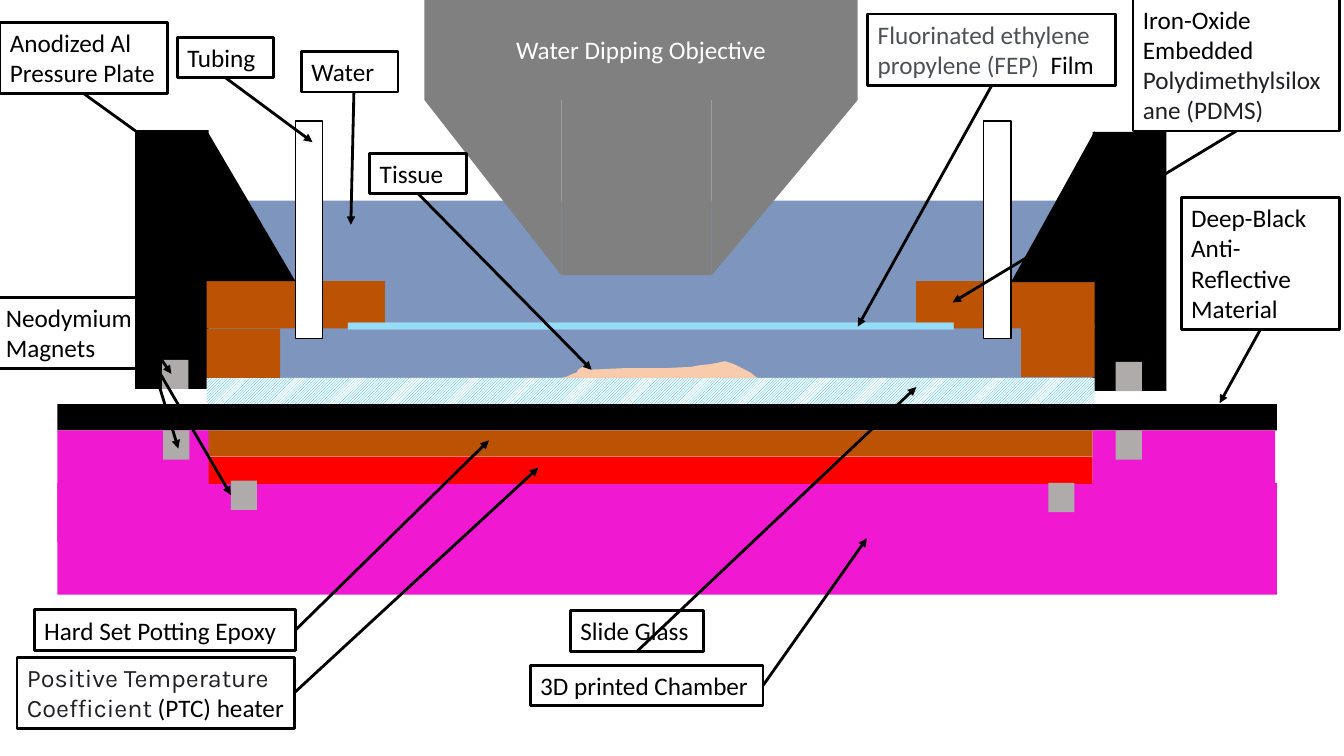
import pptx
import pptx.util
import pptx.dml.color
import pptx.enum.dml
import pptx.enum.shapes
import pptx.enum.text
import pptx.oxml.ns
from lxml import etree

Pt = pptx.util.Pt
KIND = pptx.enum.shapes.MSO_SHAPE
ALIGN = pptx.enum.text.PP_ALIGN
QN = pptx.oxml.ns.qn

THEME = dict(
    black="000000", white="FFFFFF", water="2F5597", film="00B0F0", rubber="BC5304",
    pink="F018D1", red="FF0000", grey="808080", magnet="AFABAB", tissue="F8CBAD",
    ink="202124", soft="4D5156", body="Calibri", alt="Karla", size=18, frame=2, edge=1)

RECT, WEDGE, ROUND = KIND.RECTANGLE, KIND.RIGHT_TRIANGLE, KIND.ROUND_1_RECTANGLE

# Parts of the chamber, back to front: colour, kind, (left, top, width, height), extras
BASE = [
    ("water", ROUND, (134.6, 143.3, 677.5, 129.6), dict(alpha=62)),
    ("pink", RECT, (41, 344.9, 871.2, 79.9), {}),
    ("black", RECT, (780.5, 94.3, 52.6, 185), {}),
    ("black", RECT, (96.5, 92.9, 52.6, 185), {}),
    ("film", RECT, (147.6, 270, 634.3, 18.7), dict(hatch=True)),
]
PARTS = [
    ("rubber", RECT, (147.6, 234.7, 52.6, 35.3), {}),
    ("rubber", RECT, (729.4, 232.6, 52.6, 36.7), {}),
    ("rubber", RECT, (147.6, 200.9, 127.4, 33.8), {}),
    ("rubber", RECT, (654.5, 200.9, 127.4, 33.8), {}),
    ("white", RECT, (248.4, 230.4, 432.7, 5), {}),
    ("film", RECT, (248.4, 230.4, 432.7, 5), dict(alpha=42)),
    ("white", RECT, (211, 86.4, 19.4, 155.5), dict(edge="black")),
    ("white", RECT, (702.7, 86.4, 19.4, 155.5), dict(edge="black")),
    ("black", WEDGE, (147.6, 92.9, 63.4, 108), {}),
    ("black", WEDGE, (722.2, 93.6, 59.8, 108), dict(flip=True)),
    ("black", RECT, (41, 288.7, 871.2, 18.7), {}),
    ("rubber", RECT, (148.3, 307.4, 632.2, 18.7), {}),
    ("red", RECT, (147.6, 326.2, 632.9, 19.4), {}),
    ("pink", RECT, (41, 307.4, 108, 79.9), {}),
    ("pink", RECT, (780.5, 307.4, 130.3, 79.9), {}),
    ("grey", RECT, (401, 71.3, 107.3, 125.3), {}),
    ("grey", WEDGE, (303.1, 71.3, 97.9, 125.3), dict(turn=180)),
    ("grey", WEDGE, (508.3, 71.3, 104.4, 125.3), dict(turn=180, flip=True)),
]
TISSUE = [
    (401, 270), (404.6, 268.6), (409, 267.1), (411.8, 265.7), (412.6, 263.5),
    (417.6, 261.4), (420.5, 262.1), (422.6, 264.2), (445, 262.8), (473.8, 262.8),
    (493.9, 262.1), (499, 261.4), (507.6, 259.9), (517.7, 258.5), (524.2, 259.9),
    (527.8, 262.1), (532.1, 264.2), (536.4, 265.7), (541.4, 270)]
MAGNETS = [(115.9, 257), (797, 258.5), (797, 307.4), (116.6, 307.4),
           (164.9, 343.4), (748.8, 344.9)]
MAGNET = (18.7, 20.9)

# Labels: runs, box, side the arrows leave from, arrow tips (x, y, shift along side)
ONE, TWO, FOUR = 29, 51, 94.3
LABELS = [
    (["Anodized Al Pressure Plate"], (0, 15.8, 119.5, TWO), "bottom", [(115.9, 107.3, 0)]),
    (["Neodymium Magnets"], (-2.9, 212.4, 105.1, TWO), "right",
     [(122.4, 267.1, 0), (127.4, 320.4, 0), (164.9, 353.5, 8)]),
    (["3D printed Chamber"], (378.7, 475.2, 166.3, ONE), "right", [(619.2, 384.5, 0)]),
    ([("Positive Temperature Coefficient", "ink", "alt"), " (PTC) heater"],
     (12.2, 469.4, 198, TWO), "right", [(384.5, 334.1, 0)]),
    (["Hard Set Potting Epoxy"], (24.5, 435.6, 186.5, ONE), "right", [(349.2, 314.6, 0)]),
    (["Deep-Black Anti-Reflective Material"], (843.8, 141.1, 113, FOUR), "bottom",
     [(871.2, 288, 0)]),
    (["Tubing"], (126.7, 26.6, 69, ONE), "bottom", [(223.2, 101.5, 0)]),
    ([("Fluorinated ethylene propylene (FEP) ", "soft", "body"), " Film"],
     (619.9, 10, 177.1, TWO), "bottom", [(612.7, 233.3, 0)]),
    (["Iron-Oxide Embedded ", ("Polydimethylsiloxane (PDMS)", "ink", "body")],
     (809.3, -0.7, 147.6, FOUR), "bottom", [(680.4, 216, 0)]),
    (["Tissue"], (264.2, 109.4, 69, ONE), "bottom", [(422.6, 264.2, 0)]),
    (["Slide Glass"], (407.5, 436.3, 95, ONE), "bottom", [(654.5, 276.5, 0)]),
    (["Water"], (215.3, 36.7, 69, ONE), "bottom", [(250.6, 160.6, 3)]),
]
LENS = ("Water Dipping Objective", (303.1, -1.4, 309.6, 72.7))


def tint(name):
    return pptx.dml.color.RGBColor.from_string(THEME[name])


def paint(shape, color, alpha=None, hatch=False, edge=None, flip=False, turn=0):
    shape.shadow.inherit = False
    fill = shape.fill
    if hatch:
        fill.patterned()
        fill.pattern = pptx.enum.dml.MSO_PATTERN.DARK_UPWARD_DIAGONAL
        fill.fore_color.rgb, fill.back_color.rgb = tint(color), tint("white")
    else:
        fill.solid()
        fill.fore_color.rgb = tint(color)
    if alpha:
        node = shape.element.spPr.find(".//" + QN("a:srgbClr"))
        etree.SubElement(node, QN("a:alpha"), val=str(alpha * 1000))
    if edge:
        shape.line.color.rgb = tint(edge)
        shape.line.width = Pt(THEME["edge"])
    else:
        shape.line.fill.background()
    if flip:
        shape.element.spPr.get_or_add_xfrm().set("flipH", "1")
    shape.rotation = turn


def block(slide, color, kind, box, **extra):
    shape = slide.shapes.add_shape(kind, *map(Pt, box))
    paint(shape, color, **extra)
    return shape


def write(shape, runs, color="black", align=ALIGN.LEFT,
          anchor=pptx.enum.text.MSO_ANCHOR.TOP):
    frame = shape.text_frame
    frame.word_wrap = True
    frame.vertical_anchor = anchor
    para = frame.paragraphs[0]
    para.alignment = align
    for item in runs:
        text, hue, face = (item, color, "body") if isinstance(item, str) else item
        run = para.add_run()
        run.text = text
        run.font.size = Pt(THEME["size"])
        run.font.name = THEME[face]
        run.font.color.rgb = tint(hue)


def arrow(slide, start, tip):
    line = slide.shapes.add_connector(
        pptx.enum.shapes.MSO_CONNECTOR.STRAIGHT, *map(Pt, start + tip))
    line.line.color.rgb = tint("black")
    line.line.width = Pt(THEME["frame"])
    etree.SubElement(line.line._get_or_add_ln(), QN("a:tailEnd"), type="triangle")
    etree.SubElement(line.element.spPr, QN("a:effectLst"))


def label(slide, runs, box, side, tips):
    shape = slide.shapes.add_textbox(*map(Pt, box))
    shape.line.color.rgb = tint("black")
    shape.line.width = Pt(THEME["frame"])
    write(shape, runs)
    left, top, wide, high = box
    for x, y, shift in tips:
        if side == "right":
            start = (left + wide, top + high / 2 + shift)
        else:
            start = (left + wide / 2 + shift, top + high)
        arrow(slide, start, (x, y))


def main():
    deck = pptx.Presentation()
    deck.slide_width, deck.slide_height = Pt(960), Pt(540)
    slide = deck.slides.add_slide(deck.slide_layouts[6])

    # Water, plates and slide glass
    for color, kind, box, extra in BASE:
        block(slide, color, kind, box, **extra)

    # Tissue on the glass
    form = slide.shapes.build_freeform(*TISSUE[0], scale=Pt(1))
    form.add_line_segments(TISSUE[1:], close=True)
    paint(form.convert_to_shape(), "tissue")

    # Chamber layers, tubes and objective
    for color, kind, box, extra in PARTS:
        block(slide, color, kind, box, **extra)
    text, box = LENS
    write(block(slide, "grey", RECT, box), [text], color="white",
          align=ALIGN.CENTER, anchor=pptx.enum.text.MSO_ANCHOR.MIDDLE)

    # Magnets
    for spot in MAGNETS:
        block(slide, "magnet", RECT, spot + MAGNET)

    # Labels with their arrows
    for item in LABELS:
        label(slide, *item)

    deck.save("out.pptx")


if __name__ == "__main__":
    main()
